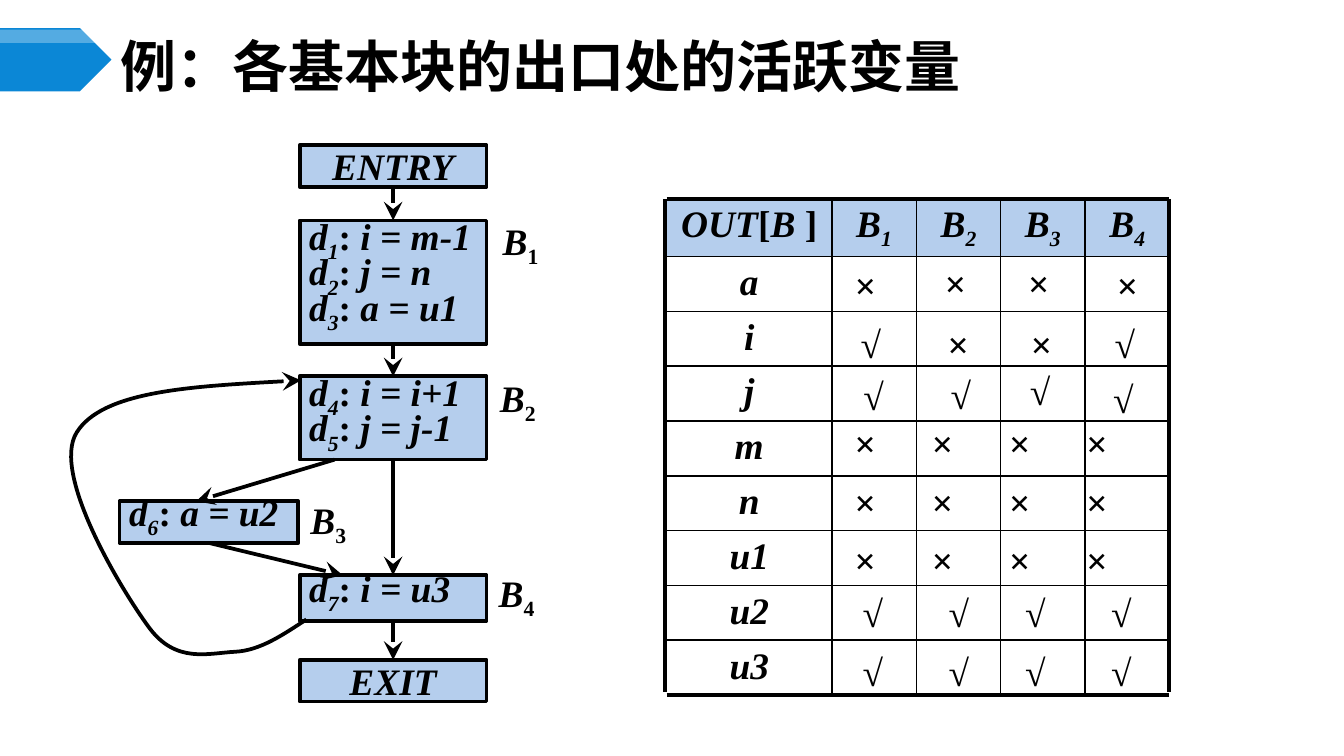
from lxml import etree
from pptx import Presentation
from pptx.dml.color import RGBColor
from pptx.enum.shapes import MSO_CONNECTOR, MSO_SHAPE
from pptx.enum.text import MSO_ANCHOR, PP_ALIGN
from pptx.oxml.ns import qn
from pptx.util import Inches, Pt

LINE = MSO_CONNECTOR.STRAIGHT
RECT, PLATE = MSO_SHAPE.RECTANGLE, MSO_SHAPE.PENTAGON
TOP, MID, LOW = MSO_ANCHOR.TOP, MSO_ANCHOR.MIDDLE, MSO_ANCHOR.BOTTOM
LEFT, MIDDLE, FULL = PP_ALIGN.LEFT, PP_ALIGN.CENTER, PP_ALIGN.JUSTIFY
INK, PALE, BLUE, WHITE = "000000", "B5CEED", "0B87D6", "FFFFFF"
SERIF, SANS = "Times New Roman", "Noto Sans CJK SC"
PAD = (0.07, 0.04, 0.07, 0.04)
SIDES = ("left", "top", "right", "bottom")


def grid(n):
    """Length of n grid units: the slide is 100 units wide."""
    return Inches(n / 10)


def place(box, x, y, *size):
    return [grid(n) for n in (box[0] + x, box[1] + y, *size)]


def tint(part, color):
    part.solid()
    part.fore_color.rgb = RGBColor.from_string(color)


def sub(node, tag, **attrs):
    return etree.SubElement(node, qn(tag), attrs)


def inset(part, pad):
    for side, n in zip(SIDES, pad):
        setattr(part, "margin_" + side, Inches(n))


def setup(frame, pad, anchor=TOP, wrap=True):
    inset(frame, pad)
    frame.vertical_anchor, frame.word_wrap = anchor, wrap


def write(par, parts, align=FULL, space=None, size=20, face=SERIF):
    """Parts are (text, italic, baseline) triples."""
    par.alignment, par.line_spacing = align, space
    for text, slant, base in parts:
        run = par.add_run()
        run.text = text
        look = {"size": Pt(size), "name": face, "bold": True, "italic": slant}
        for key, val in look.items():
            setattr(run.font, key, val)
        tint(run.font.fill, INK)
        props = run._r.get_or_add_rPr()
        sub(props, "a:ea", typeface=face)
        if base:
            props.set("baseline", str(base * 1000))


def block(slide, kind, spot, fill, edge=None):
    shape = slide.shapes.add_shape(kind, *spot)
    shape.shadow.inherit = False
    tint(shape.fill, fill)
    if edge:
        tint(shape.line.fill, edge)
        shape.line.width = Pt(2)
    else:
        shape.line.fill.background()
    return shape


def label(slide, spot, parts, pad, align, wrap=True, tabs=()):
    frame = slide.shapes.add_textbox(*spot).text_frame
    setup(frame, pad, wrap=wrap)
    par = frame.paragraphs[0]
    if tabs:
        stops = sub(par._p.get_or_add_pPr(), "a:tabLst")
        for n in tabs:
            sub(stops, "a:tab", pos=str(grid(n)), algn="l")
    write(par, parts, align)


def stroke(shape, head=True):
    tint(shape.line.fill, INK)
    shape.line.width = Pt(2)
    if head:
        sub(shape.line._get_or_add_ln(), "a:tailEnd", type="stealth", w="lg", len="lg")


def link(slide, start, end, head=True):
    wire = slide.shapes.add_connector(LINE, *start, *end)
    stroke(wire, head)
    sub(wire._element.spPr, "a:effectLst")
    return wire


def heading(slide, box):
    """Arrow band with its light strip, then the title."""
    block(slide, PLATE, place(box, 0, 0, 8.3, 4.7), BLUE)
    strip = block(slide, PLATE, place(box, 0, 0.1, 8.3, 1), WHITE)
    tone = strip._element.spPr.find(qn("a:solidFill"))[0]
    sub(tone, "a:alpha", val="30000")
    title = slide.shapes.title
    title.left, title.top, title.width, title.height = place(box, 8.3, 0.8, 86.7, 3.9)
    setup(title.text_frame, PAD, MID)
    words = [("例：各基本块的出口处的活跃变量", False, 0)]
    write(title.text_frame.paragraphs[0], words, LEFT, size=30, face=SANS)


def loop(slide, box):
    """Curved back edge from B4 to B2."""
    dots = [(17.8, 36.1), (16.1, 37.2), (14.4, 38.4), (12.5, 38.5),
            (10.5, 38.6), (8.1, 39.4), (6.1, 36.7), (4.1, 34), (-1.2, 25.3),
            (0.7, 22.2), (2.6, 19.1), (10, 18.7), (17.4, 18.3)]
    spots = [place(box, *dot) for dot in dots]
    pen = slide.shapes.build_freeform(*spots[0])
    pen.add_line_segments(spots[1:], close=False)
    curve = pen.convert_to_shape()
    curve.shadow.inherit = False
    curve.fill.background()
    stroke(curve)
    # Every three points make one cubic segment
    track = next(curve._element.iter(qn("a:path")))
    legs = track.findall(qn("a:lnTo"))
    for i in range(0, len(legs), 3):
        bend = sub(track, "a:cubicBezTo")
        for leg in legs[i:i + 3]:
            bend.append(leg[0])
            track.remove(leg)


def flow(slide, box):
    """Flow graph: blocks, their names and the edges."""
    node = {}
    for name, y in (("ENTRY", 0.8), ("EXIT", 39.1)):
        node[name] = block(slide, RECT, place(box, 17.3, y, 13.9, 3.1), PALE, INK)
        frame = node[name].text_frame
        setup(frame, (0.07, 0.03, 0.07, 0), LOW)
        write(frame.paragraphs[0], [(name, True, 0)], MIDDLE, 0.7)
    steps = [("B1", 17.3, 6.4, 13.9, 9.2, ["i = m-1", "j = n", "a = u1"], 32.4, 6.2),
             ("B2", 17.3, 18, 13.9, 6.2, ["i = i+1", "j = j-1"], 31.5, 17.5),
             ("B3", 3.9, 27.3, 13.3, 3.1, ["a = u2"], 17.4, 26.6),
             ("B4", 17.3, 32.8, 13.9, 3.4, ["i = u3"], 31.4, 32)]
    count = 0
    for name, x, y, w, h, codes, side, top in steps:
        node[name] = block(slide, RECT, place(box, x, y, w, h), PALE, INK)
        frame = node[name].text_frame
        if len(codes) > 1:
            setup(frame, (0.07, 0.06, 0.07, 0))
        else:
            setup(frame, (0.07, 0, 0, 0), MID)
        for i, code in enumerate(codes):
            count += 1
            par = frame.add_paragraph() if i else frame.paragraphs[0]
            write(par, [("d", True, 0), (str(count), True, -25),
                        (": ", False, 0), (code, True, 0)], space=Pt(19))
        size, pad = ((4.3, 2.4), (0, 0, 0, 0)) if name == "B1" else ((6.9, 3.6), PAD)
        label(slide, place(box, side, top, *size),
              [("B", True, 0), (name[1], False, -25)], pad, FULL)
    for a, b in (("ENTRY", "B1"), ("B1", "B2"), ("B2", "B4"), ("B4", "EXIT")):
        wire = link(slide, (0, 0), (0, 0))
        wire.begin_connect(node[a], 2)
        wire.end_connect(node[b], 0)
    link(slide, place(box, 19.9, 24.2), place(box, 9.6, 27.3))
    wire = link(slide, (0, 0), place(box, 20.5, 32.8))
    wire.begin_connect(node["B3"], 2)
    loop(slide, box)


def border(cell, row, col, rows, cols):
    props = cell._tc.get_or_add_tcPr()
    wide = {"L": 1 if col else 0, "R": 1 if col < cols - 1 else 0,
            "T": 1 if row else 2.25, "B": 1 if row < rows - 1 else 2.25}
    for side, size in wide.items():
        edge = sub(props, "a:ln" + side, w=str(Pt(size)))
        if size:
            sub(sub(edge, "a:solidFill"), "a:srgbClr", val=INK)
        else:
            sub(edge, "a:noFill")


def live(slide, box):
    """Table of live variables, its side rules and the marks over it."""
    heads = [[("OUT", True, 0), ("[", False, 0), ("B", True, 0), (" ]", False, 0)]]
    heads += [[("B", True, 0), (n, True, -25)] for n in "1234"]
    names = ["a", "i", "j", "m", "n", "u1", "u2", "u3"]
    rows, cols = len(names) + 1, len(heads)
    table = slide.shapes.add_table(rows, cols, *place(box, 0, 0, 37.4, 36.8)).table
    table._tbl.tblPr.find(qn("a:tableStyleId")).text = "{2D5ABB26-0587-4C30-8999-92F81FD0307C}"
    for i, col in enumerate(table.columns):
        col.width = grid(6.28 if i else 12.3)
    for r in range(rows):
        table.rows[r].height = grid(4.08 if r else 4.2)
        for c in range(cols):
            cell = table.cell(r, c)
            inset(cell, (0.07, 0.04, 0.07, 0.02 if r else 0.01))
            border(cell, r, c, rows, cols)
            if r:
                cell.fill.background()
            else:
                tint(cell.fill, PALE)
            if r * c == 0:
                parts = heads[c] if r == 0 else [(names[r - 1], True, 0)]
                write(cell.text_frame.paragraphs[0], parts, MIDDLE)
    for x in (-0.1, 37.4):
        link(slide, place(box, x, 0), place(box, x, 36.7), False)
    # Single marks: (column offset, row offset) for each sign
    pad = (0.1, 0.05, 0.1, 0.05)
    single = [("××××", [(13, 4.2), (19.7, 4.1), (25.9, 4.1), (32.5, 4.2)]),
              ("√××√", [(13.4, 8.6), (19.9, 8.6), (26.1, 8.6), (32.3, 8.6)]),
              ("√√√√", [(13.6, 12.5), (20.1, 12.4), (26, 12.1), (32.2, 12.7)])]
    for signs, spots in single:
        for sign, spot in zip(signs, spots):
            label(slide, place(box, *spot, 3.6, 4.4), [(sign, False, 0)], pad, MIDDLE, False)
    # Whole rows of one sign, spread by tab stops
    cross, check = (13, 25.9, (5.75, 11.5, 17.25)), (13.6, 29.3, (6.4, 12.1, 18.5))
    whole = [("×", 16, cross), ("×", 20.4, cross), ("×", 24.7, cross),
             ("√", 28.6, check), ("√", 33, check)]
    for sign, y, (x, w, tabs) in whole:
        label(slide, place(box, x, y, w, 4.4),
              [("\t".join(sign * 4), False, 0)], pad, LEFT, tabs=tabs)


def main():
    deck = Presentation()
    deck.slide_width, deck.slide_height = grid(100), grid(56.25)
    slide = deck.slides.add_slide(deck.slide_layouts[5])
    heading(slide, (0, 2.1))
    flow(slide, (5, 10))
    live(slide, (49.6, 14.8))
    deck.save("out.pptx")


if __name__ == "__main__":
    main()
